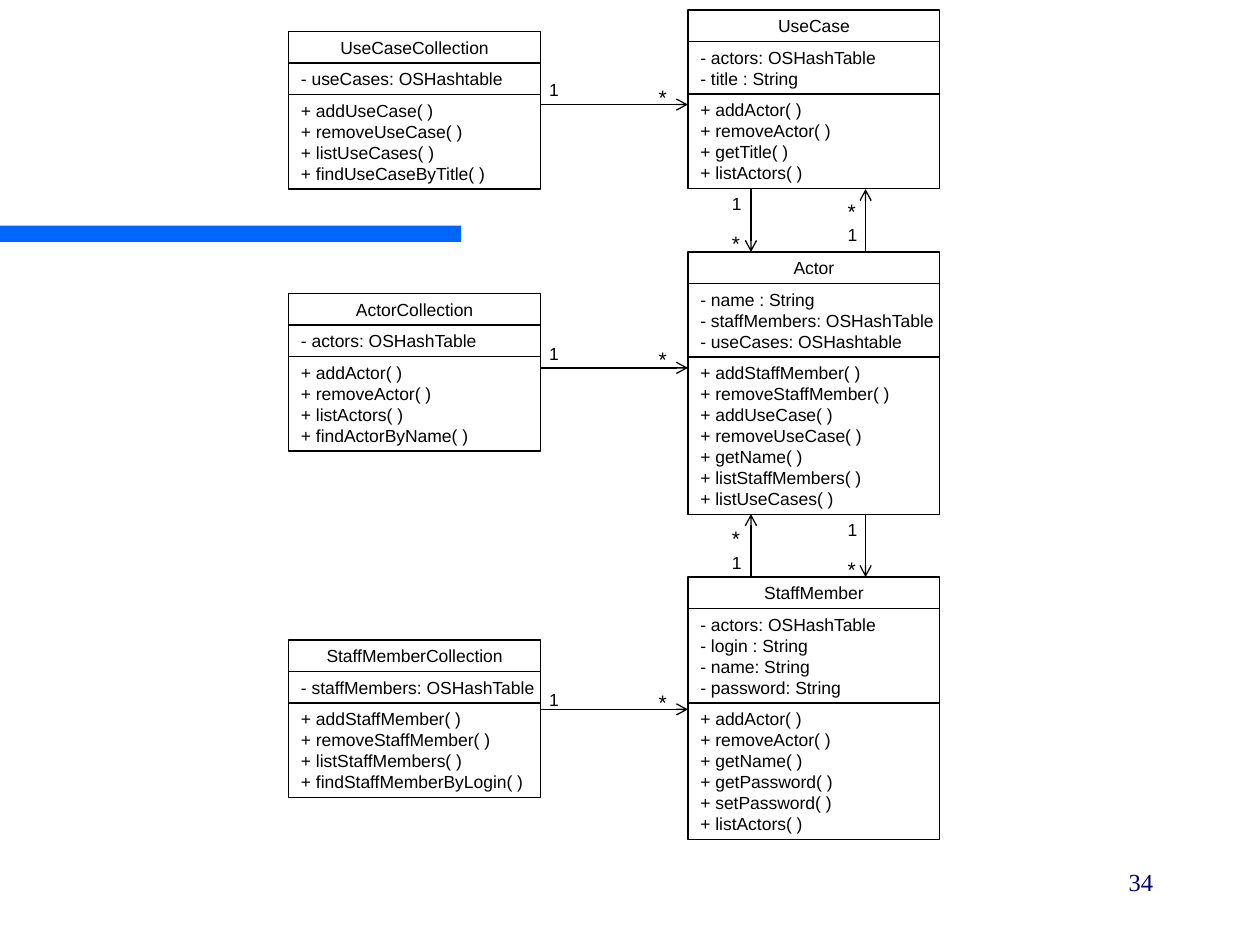
from lxml import etree
from pptx import Presentation
from pptx.dml.color import RGBColor
from pptx.enum.shapes import MSO_CONNECTOR, MSO_SHAPE
from pptx.enum.text import MSO_ANCHOR, MSO_AUTO_SIZE, PP_ALIGN
from pptx.oxml.ns import qn
from pptx.util import Inches, Pt

BLACK = RGBColor(0x00, 0x00, 0x00)
WHITE = RGBColor(0xFF, 0xFF, 0xFF)
BLUE = RGBColor(0x00, 0x66, 0xFF)
NAVY = RGBColor(0x00, 0x00, 0x66)

RECTANGLE = MSO_SHAPE.RECTANGLE
STRAIGHT = MSO_CONNECTOR.STRAIGHT
MIDDLE = MSO_ANCHOR.MIDDLE
FIT_TEXT = MSO_AUTO_SIZE.SHAPE_TO_FIT_TEXT
LEFT, CENTER, RIGHT = PP_ALIGN.LEFT, PP_ALIGN.CENTER, PP_ALIGN.RIGHT

CLASS_WIDTH = 2
COLLECTION_X, ENTITY_X = 2.29, 5.46
COLLECTION_RIGHT = COLLECTION_X + CLASS_WIDTH

# left, top, class name, attributes, operations
CLASSES = [
    (COLLECTION_X, 0.25, "UseCaseCollection",
     ["- useCases: OSHashtable"],
     ["+ addUseCase( )", "+ removeUseCase( )", "+ listUseCases( )",
      "+ findUseCaseByTitle( )"]),
    (COLLECTION_X, 2.33, "ActorCollection",
     ["- actors: OSHashTable"],
     ["+ addActor( )", "+ removeActor( )", "+ listActors( )",
      "+ findActorByName( )"]),
    (COLLECTION_X, 5.08, "StaffMemberCollection",
     ["- staffMembers: OSHashTable"],
     ["+ addStaffMember( )", "+ removeStaffMember( )", "+ listStaffMembers( )",
      "+ findStaffMemberByLogin( )"]),
    (ENTITY_X, 0.08, "UseCase",
     ["- actors: OSHashTable", "- title : String"],
     ["+ addActor( )", "+ removeActor( )", "+ getTitle( )", "+ listActors( )"]),
    (ENTITY_X, 2, "Actor",
     ["- name : String", "- staffMembers: OSHashTable",
      "- useCases: OSHashtable"],
     ["+ addStaffMember( )", "+ removeStaffMember( )", "+ addUseCase( )",
      "+ removeUseCase( )", "+ getName( )", "+ listStaffMembers( )",
      "+ listUseCases( )"]),
    (ENTITY_X, 4.58, "StaffMember",
     ["- actors: OSHashTable", "- login : String", "- name: String",
      "- password: String"],
     ["+ addActor( )", "+ removeActor( )", "+ getName( )", "+ getPassword( )",
      "+ setPassword( )", "+ listActors( )"]),
]

# start, end, position of the "1" label, position of the "*" label
ASSOCIATIONS = [
    ((COLLECTION_RIGHT, 0.83), (ENTITY_X, 0.83), (4.26, 0.58), (5.13, 0.62)),
    ((COLLECTION_RIGHT, 2.92), (ENTITY_X, 2.92), (4.26, 2.67), (5.13, 2.7)),
    ((COLLECTION_RIGHT, 5.63), (ENTITY_X, 5.63), (4.26, 5.42), (5.13, 5.42)),
    ((5.96, 1.5), (5.96, 2), (5.71, 1.48), (5.71, 1.78)),
    ((6.87, 2), (6.87, 1.5), (6.63, 1.73), (6.63, 1.53)),
    ((5.96, 4.58), (5.96, 4.08), (5.71, 4.33), (5.71, 4.12)),
    ((6.87, 4.08), (6.87, 4.58), (6.63, 4.07), (6.63, 4.37)),
]


def write_lines(frame, lines, align, size=10, font="Arial", color=BLACK):
    font_format = {"name": font, "size": Pt(size)}
    for index, line in enumerate(lines):
        paragraph = frame.add_paragraph() if index else frame.paragraphs[0]
        paragraph.alignment = align
        run = paragraph.add_run()
        run.text = line
        for attribute, value in font_format.items():
            setattr(run.font, attribute, value)
        run.font.color.rgb = color


def add_rectangle(slide, left, top, width, height, fill):
    rectangle = slide.shapes.add_shape(
        RECTANGLE, Inches(left), Inches(top), Inches(width), Inches(height))
    rectangle.shadow.inherit = False
    rectangle.fill.solid()
    rectangle.fill.fore_color.rgb = fill
    rectangle.line.fill.background()
    return rectangle


def add_compartment(slide, left, top, lines, align):
    """Draw one section of a class box and return its bottom edge."""
    height = (len(lines) + 0.5) / 6
    compartment = add_rectangle(slide, left, top, CLASS_WIDTH, height, WHITE)
    compartment.line.color.rgb = BLACK
    compartment.line.width = Pt(0.75)
    frame = compartment.text_frame
    frame.word_wrap = False
    frame.vertical_anchor = MIDDLE
    write_lines(frame, lines, align)
    return top + height


def add_class(slide, left, top, name, attributes, operations):
    sections = [([name], CENTER), (attributes, LEFT), (operations, LEFT)]
    for lines, align in sections:
        top = add_compartment(slide, left, top, lines, align)


def add_arrow(slide, start, end):
    arrow = slide.shapes.add_connector(
        STRAIGHT, *(Inches(value) for value in (*start, *end)))
    arrow.line.color.rgb = BLACK
    arrow.line.width = Pt(0.75)
    etree.SubElement(arrow.line._get_or_add_ln(), qn("a:tailEnd"), type="arrow")
    etree.SubElement(arrow._element.spPr, qn("a:effectLst"))


def add_multiplicity(slide, symbol, position, width, height, size):
    left, top = position
    label = slide.shapes.add_textbox(
        Inches(left), Inches(top), Inches(width), Inches(height))
    label.text_frame.word_wrap = False
    label.text_frame.auto_size = FIT_TEXT
    write_lines(label.text_frame, [symbol], CENTER, size)


def add_association(slide, start, end, one_position, many_position):
    add_arrow(slide, start, end)
    add_multiplicity(slide, "1", one_position, 0.27, 0.27, 10)
    add_multiplicity(slide, "*", many_position, 0.26, 0.3, 12)


def add_page_number(slide, number):
    page_number = slide.shapes.add_textbox(
        Inches(7.17), Inches(6.83), Inches(2.08), Inches(0.5))
    page_number.text_frame.word_wrap = True
    write_lines(page_number.text_frame, [number], RIGHT, 14,
                "Times New Roman", NAVY)


def main():
    presentation = Presentation()
    presentation.slide_width = Inches(10)
    presentation.slide_height = Inches(7.5)
    blank_layout = presentation.slide_layouts[6]
    slide = presentation.slides.add_slide(blank_layout)

    add_rectangle(slide, 0, 1.79, 3.66, 0.13, BLUE)
    for class_box in CLASSES:
        add_class(slide, *class_box)
    for association in ASSOCIATIONS:
        add_association(slide, *association)
    add_page_number(slide, "34")

    presentation.save("out.pptx")


if __name__ == "__main__":
    main()
